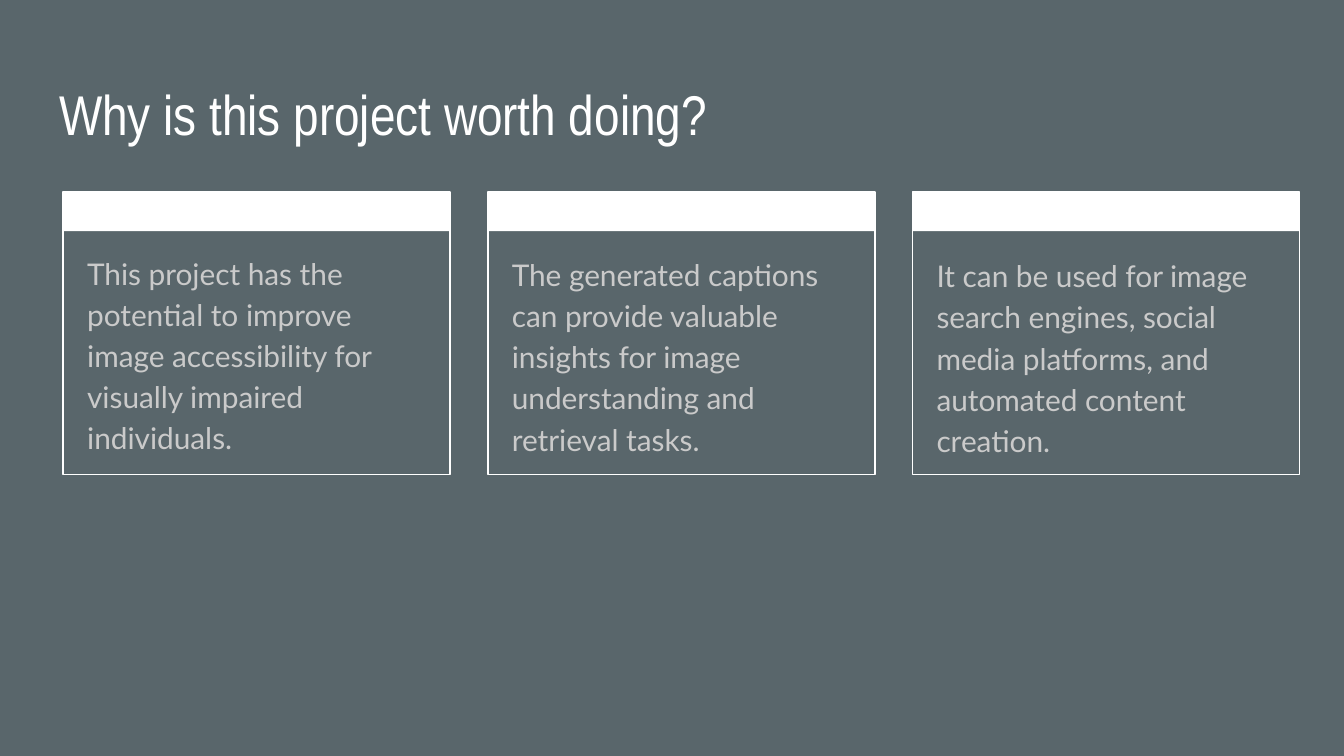
"""Build a title slide with three reason cards on a slate background."""
from dataclasses import dataclass

from pptx import Presentation
from pptx.dml.color import RGBColor as Rgb
from pptx.enum.shapes import MSO_SHAPE as Preset
from pptx.enum.text import MSO_ANCHOR as Anchor, MSO_AUTO_SIZE as AutoSize, PP_ALIGN as Align
from pptx.util import Inches, Pt

TITLE = "Why is this project worth doing?"
REASONS = [
    ("This project has the potential to improve image accessibility for visually impaired individuals.", 1.76),
    ("The generated captions can provide valuable insights for image understanding and retrieval tasks.", 1.77),
    ("It can be used for image search engines, social media platforms, and automated content creation.", 1.78),
]


@dataclass(frozen=True)
class Theme:
    """Colours, fonts and sizes used on the slide."""
    background: str = "59666B"
    white: str = "FFFFFF"
    grey: str = "CACACA"
    title_font: str = "Arial Narrow"
    body_font: str = "Lato"
    title_size: int = 30
    body_size: int = 16
    border: float = 0.75


THEME = Theme()
SLIDE_WIDTH = 10
SLIDE_HEIGHT = SLIDE_WIDTH * 9 / 16
TITLE_BOX = (0.34, 0.49, 9.32, 0.63)
GRID_LEFT, GRID_TOP, COLUMN_STEP = 0.47, 1.43, 3.16
CARD_WIDTH, CARD_HEIGHT, BAND_HEIGHT = 2.88, 2.1, 0.29
TEXT_INSET, TEXT_WIDTH, TEXT_HEIGHT = 0.08, 2.71, 1.76


def colour(value):
    """Turn a hex string into a colour."""
    return Rgb.from_string(value)


def set_values(target, values):
    """Set each named attribute on the target."""
    for name, value in values.items():
        setattr(target, name, value)


def write(shape, text, font, size, shade, spacing):
    """Fill a shape with one left-aligned paragraph."""
    frame = shape.text_frame
    margins = dict.fromkeys(("margin_left", "margin_top", "margin_right", "margin_bottom"), Inches(0.1))
    set_values(frame, {"word_wrap": True, "auto_size": AutoSize.NONE, "vertical_anchor": Anchor.TOP, **margins})
    paragraph = frame.paragraphs[0]
    set_values(paragraph, {"alignment": Align.LEFT, "line_spacing": spacing})
    run = paragraph.add_run()
    run.text = text
    set_values(run.font, {"name": font, "size": Pt(size)})
    run.font.color.rgb = colour(shade)


def add_rectangle(shapes, box, filled):
    """Add a solid band or an outlined frame."""
    rectangle = shapes.add_shape(Preset.RECTANGLE, *map(Inches, box))
    rectangle.shadow.inherit = False
    if filled:
        rectangle.fill.solid()
        rectangle.fill.fore_color.rgb = colour(THEME.white)
        rectangle.line.fill.background()
    else:
        rectangle.fill.background()
        rectangle.line.color.rgb = colour(THEME.white)
        rectangle.line.width = Pt(THEME.border)


def add_card(slide, column, text, text_top):
    """Add one reason card in its grid column."""
    left = GRID_LEFT + column * COLUMN_STEP
    text_box = (left + TEXT_INSET, text_top, TEXT_WIDTH, TEXT_HEIGHT)
    body = slide.shapes.add_textbox(*map(Inches, text_box))
    write(body, text, THEME.body_font, THEME.body_size, THEME.grey, 1.15)
    card = slide.shapes.add_group_shape()
    for height, filled in ((BAND_HEIGHT, True), (CARD_HEIGHT, False)):
        add_rectangle(card.shapes, (left, GRID_TOP, CARD_WIDTH, height), filled)


def main():
    """Create and save the presentation."""
    presentation = Presentation()
    presentation.slide_width, presentation.slide_height = map(Inches, (SLIDE_WIDTH, SLIDE_HEIGHT))
    slide = presentation.slides.add_slide(presentation.slide_layouts[5])
    slide.background.fill.solid()
    slide.background.fill.fore_color.rgb = colour(THEME.background)
    title = slide.shapes.title
    set_values(title, dict(zip(("left", "top", "width", "height"), map(Inches, TITLE_BOX))))
    write(title, TITLE, THEME.title_font, THEME.title_size, THEME.white, 1.0)
    for column, (text, text_top) in enumerate(REASONS):
        add_card(slide, column, text, text_top)
    presentation.save("out.pptx")


if __name__ == "__main__":
    main()
